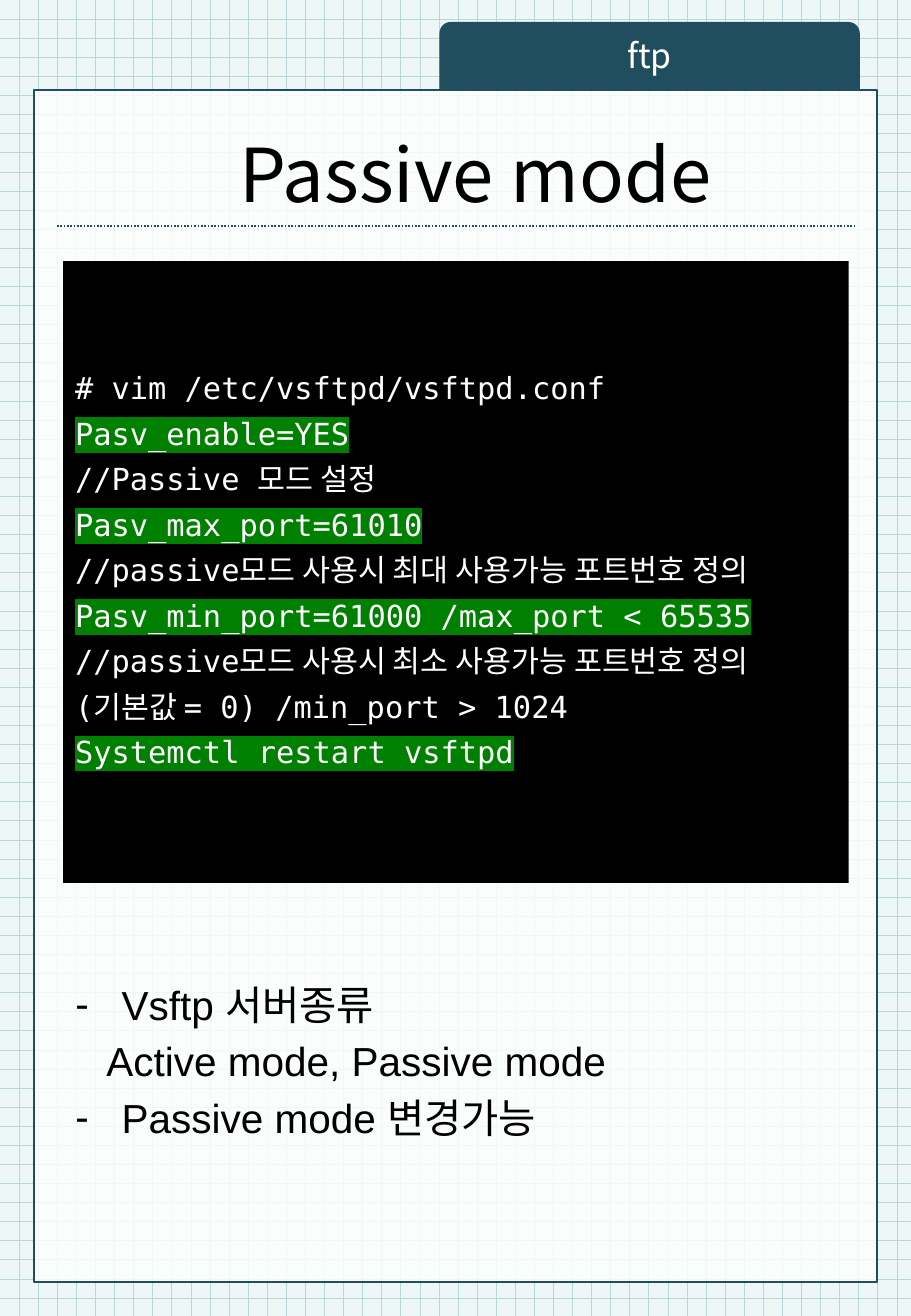
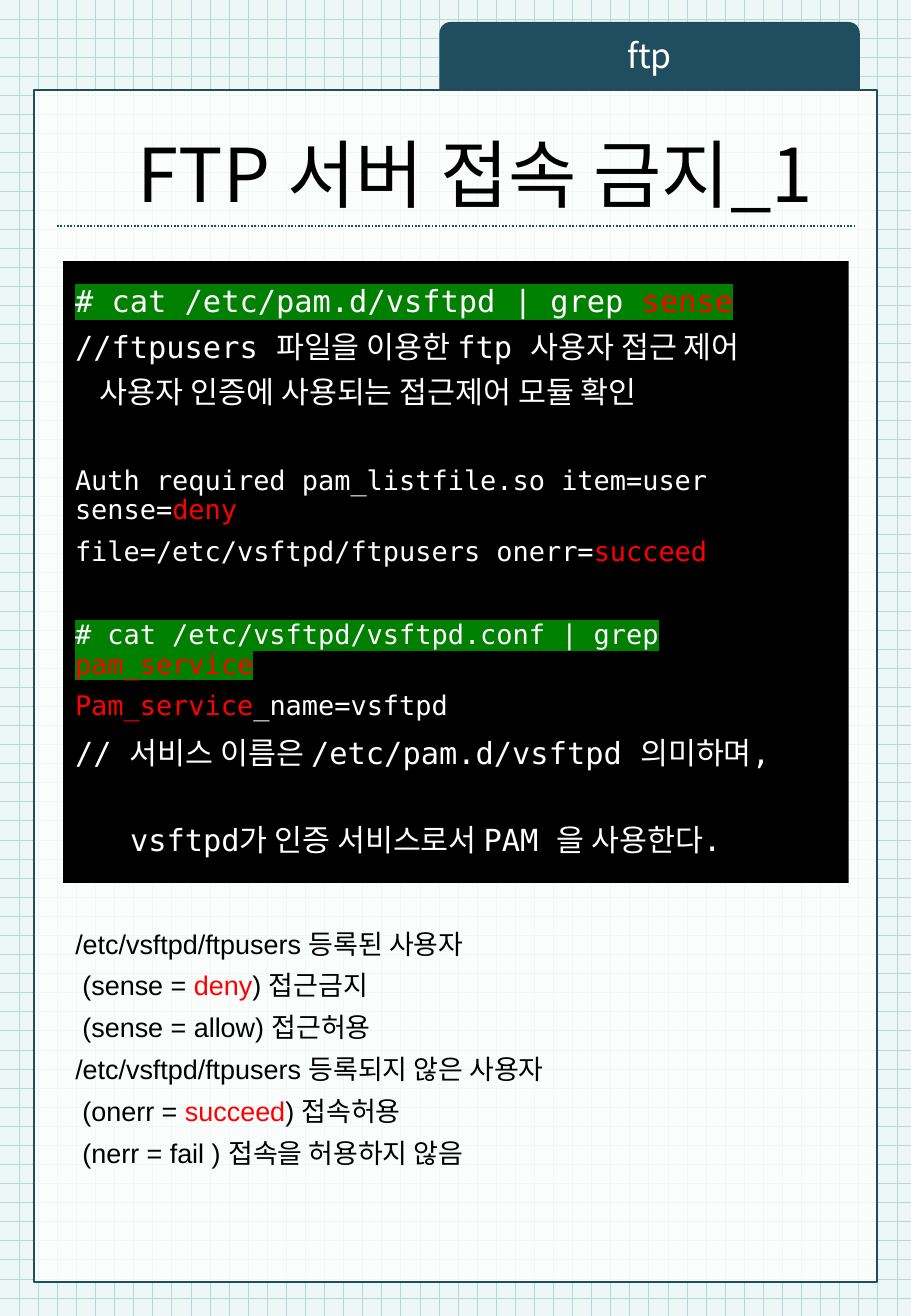
import dataclasses
import typing

import lxml.etree
import pptx
import pptx.dml.color
import pptx.enum.dml
import pptx.enum.shapes
import pptx.enum.text
import pptx.oxml.ns
import pptx.util

Cm = pptx.util.Cm
Pt = pptx.util.Pt
RGBColor = pptx.dml.color.RGBColor
MSO_SHAPE = pptx.enum.shapes.MSO_SHAPE
PP_ALIGN = pptx.enum.text.PP_ALIGN
MSO_ANCHOR = pptx.enum.text.MSO_ANCHOR
qn = pptx.oxml.ns.qn

TEAL = RGBColor(0x20, 0x4E, 0x5F)
GRID = RGBColor(0xB7, 0xD7, 0xD8)
MINT = RGBColor(0xED, 0xF7, 0xF5)
WHITE = RGBColor(0xFF, 0xFF, 0xFF)
BLACK = RGBColor(0, 0, 0)
RED = RGBColor(0xFF, 0, 0)
GREEN = RGBColor(0, 0x80, 0)

HEADING_FONT = "Noto Sans CJK KR"
BODY_FONT = "Arial"
CODE_FONT = "DejaVu Sans Mono"


@dataclasses.dataclass
class Box:
    """A rectangle measured in centimetres."""

    left: float
    top: float
    width: float
    height: float

    def lengths(self):
        """Return left, top, width and height as lengths."""
        return Cm(self.left), Cm(self.top), Cm(self.width), Cm(self.height)


@dataclasses.dataclass
class Line:
    """One paragraph made of plain strings and (text, colour) pieces."""

    pieces: typing.Sequence
    size: float = 18
    gap: float = 7.5
    spacing: float = 0.9
    indent: float = 0
    bullet: str = ""
    highlight: typing.Optional[RGBColor] = None


PAGE = Box(0, 0, 19.05, 27.51)
PANEL = Box(0.71, 1.88, 17.63, 24.92)
TAB = Box(9.19, 0.46, 8.79, 1.42)
TITLE = Box(1.73, 2.77, 16.43, 1.93)
CODE = Box(1.32, 5.46, 16.43, 13)
NOTES = Box(1.32, 19.33, 16.43, 6.3)


def write_text(paragraph, text, *, font, size, color, highlight=None):
    """Add one formatted run to a paragraph."""
    run = paragraph.add_run()
    run.text = text
    run.font.size = Pt(size)
    run.font.color.rgb = color
    run.font.name = font
    latin = run.font._element.find(qn("a:latin"))
    east_asian = lxml.etree.Element(qn("a:ea"), typeface=HEADING_FONT)
    latin.addnext(east_asian)
    if highlight is not None:
        marker = lxml.etree.Element(qn("a:highlight"))
        lxml.etree.SubElement(marker, qn("a:srgbClr"), val=str(highlight))
        latin.addprevious(marker)


def write_lines(text_frame, lines, font, color, align=PP_ALIGN.LEFT):
    """Fill a text frame with lines."""
    text_frame.word_wrap = True
    text_frame.auto_size = pptx.enum.text.MSO_AUTO_SIZE.NONE
    for index, line in enumerate(lines):
        paragraph = text_frame.add_paragraph() if index else text_frame.paragraphs[0]
        paragraph.alignment = align
        paragraph.line_spacing = line.spacing
        paragraph.space_before = Pt(line.gap if index else 0)
        properties = paragraph._p.get_or_add_pPr()
        properties.set("marL", str(Cm(line.indent)))
        properties.set("indent", str(-Cm(line.indent) if line.bullet else 0))
        if line.bullet:
            lxml.etree.SubElement(properties, qn("a:buChar"), char=line.bullet)
        else:
            lxml.etree.SubElement(properties, qn("a:buNone"))
        for piece in line.pieces:
            text, piece_color = (piece, color) if isinstance(piece, str) else piece
            write_text(paragraph, text, font=font, size=line.size,
                       color=piece_color, highlight=line.highlight)


def add_block(slide, box, color, kind=MSO_SHAPE.RECTANGLE):
    """Add a flat filled shape without outline."""
    shape = slide.shapes.add_shape(kind, *box.lengths())
    shape.shadow.inherit = False
    shape.fill.solid()
    shape.fill.fore_color.rgb = color
    shape.line.fill.background()
    shape.text_frame.vertical_anchor = MSO_ANCHOR.MIDDLE
    return shape


def add_frame(slide, box, tab_box):
    """Draw the translucent page panel, its tab and the rule under the title."""
    panel = add_block(slide, box, WHITE)
    color = panel.fill._xPr.find(".//" + qn("a:srgbClr"))
    lxml.etree.SubElement(color, qn("a:alpha"), val="80000")
    panel.line.color.rgb = TEAL
    panel.line.width = Pt(1.5)

    tab = add_block(slide, tab_box, TEAL, MSO_SHAPE.ROUND_2_SAME_RECTANGLE)
    write_lines(tab.text_frame, [Line(["ftp"], size=20)], HEADING_FONT, WHITE,
                PP_ALIGN.CENTER)

    inset, rule_top = 0.48, Cm(box.top + 2.84)
    rule = slide.shapes.add_connector(
        pptx.enum.shapes.MSO_CONNECTOR.STRAIGHT,
        Cm(box.left + inset), rule_top,
        Cm(box.left + box.width - inset), rule_top)
    rule.line.color.rgb = TEAL
    rule.line.width = Pt(1)
    rule.line.dash_style = pptx.enum.dml.MSO_LINE.ROUND_DOT
    lxml.etree.SubElement(rule.element.spPr, qn("a:effectLst"))


def place_placeholder(shape, box, anchor):
    """Move a placeholder into a box, in front of the frame."""
    shape.left, shape.top, shape.width, shape.height = box.lengths()
    shape.text_frame.vertical_anchor = anchor
    shape.element.getparent().append(shape.element)


def add_code(slide, box, lines):
    """Draw the black terminal block."""
    terminal = add_block(slide, box, BLACK)
    write_lines(terminal.text_frame, lines, CODE_FONT, WHITE)


def add_command_slide(presentation, title, code, notes, notes_offset=0):
    """Add a slide with a title, a terminal block and notes below it."""
    slide = presentation.slides.add_slide(presentation.slide_layouts[1])
    add_frame(slide, PANEL, TAB)
    heading, body = slide.shapes.title, slide.placeholders[1]
    notes_box = Box(NOTES.left, NOTES.top + notes_offset,
                    NOTES.width, NOTES.height - notes_offset)
    place_placeholder(body, notes_box, MSO_ANCHOR.TOP)
    write_lines(body.text_frame, notes, BODY_FONT, BLACK)
    add_code(slide, CODE, code)
    place_placeholder(heading, TITLE, MSO_ANCHOR.MIDDLE)
    write_lines(heading.text_frame, [Line([title], size=44)], HEADING_FONT, BLACK,
                PP_ALIGN.CENTER)


def set_background(master):
    """Give every slide the dotted grid background."""
    fill = master.background.fill
    fill.patterned()
    fill.pattern = pptx.enum.dml.MSO_PATTERN.DOTTED_GRID
    fill.fore_color.rgb = GRID
    fill.back_color.rgb = MINT


PASSIVE_CODE = [
    Line(["# vim /etc/vsftpd/vsftpd.conf"]),
    Line(["Pasv_enable=YES"], highlight=GREEN),
    Line(["//Passive 모드 설정"]),
    Line(["Pasv_max_port=61010"], highlight=GREEN),
    Line(["//passive모드 사용시 최대 사용가능 포트번호 정의"]),
    Line(["Pasv_min_port=61000 /max_port < 65535"], highlight=GREEN),
    Line(["//passive모드 사용시 최소 사용가능 포트번호 정의"]),
    Line(["(기본값 = 0) /min_port > 1024"]),
    Line(["Systemctl restart vsftpd"], highlight=GREEN),
]
PASSIVE_NOTES = [
    Line(["Vsftp 서버종류"], size=24, indent=0.97, bullet="-"),
    Line(["Active mode, Passive mode"], size=24, indent=0.65),
    Line(["Passive mode 변경가능"], size=24, indent=0.97, bullet="-"),
]
DENY_CODE = [
    Line(["# cat /etc/pam.d/vsftpd | grep ", ("sense", RED)], highlight=GREEN),
    Line(["//ftpusers 파일을 이용한 ftp 사용자 접근 제어"]),
    Line(["사용자 인증에 사용되는 접근제어 모듈 확인"], indent=0.52),
    Line(["Auth required pam_listfile.so item=user sense=", ("deny", RED)],
         size=16, gap=34),
    Line(["file=/etc/vsftpd/ftpusers onerr=", ("succeed", RED)], size=16),
    Line(["# cat /etc/vsftpd/vsftpd.conf | grep ", ("pam_service", RED)],
         size=16, gap=32, highlight=GREEN),
    Line([("Pam_service", RED), "_name=vsftpd"], size=16),
    Line(["// 서비스 이름은 /etc/pam.d/vsftpd 의미하며,"], spacing=1.0),
    Line(["vsftpd가 인증 서비스로서 PAM 을 사용한다."], spacing=1.0, gap=30,
         indent=1.15),
]
DENY_NOTES = [
    Line(["/etc/vsftpd/ftpusers 등록된 사용자"], size=16),
    Line(["(sense = ", ("deny", RED), ") 접근금지"], size=16, indent=0.15),
    Line(["(sense = allow) 접근허용"], size=16, indent=0.15),
    Line(["/etc/vsftpd/ftpusers 등록되지 않은 사용자"], size=16),
    Line(["(onerr = ", ("succeed", RED), ") 접속허용"], size=16, indent=0.15),
    Line(["(nerr = fail ) 접속을 허용하지 않음"], size=16, indent=0.15),
]


def main():
    """Build and save the presentation."""
    presentation = pptx.Presentation()
    presentation.slide_width = Cm(PAGE.width)
    presentation.slide_height = Cm(PAGE.height)
    set_background(presentation.slide_master)
    add_command_slide(presentation, "Passive mode", PASSIVE_CODE, PASSIVE_NOTES,
                      notes_offset=1.14)
    add_command_slide(presentation, "FTP 서버 접속 금지_1", DENY_CODE, DENY_NOTES)
    presentation.save("out.pptx")


if __name__ == "__main__":
    main()
